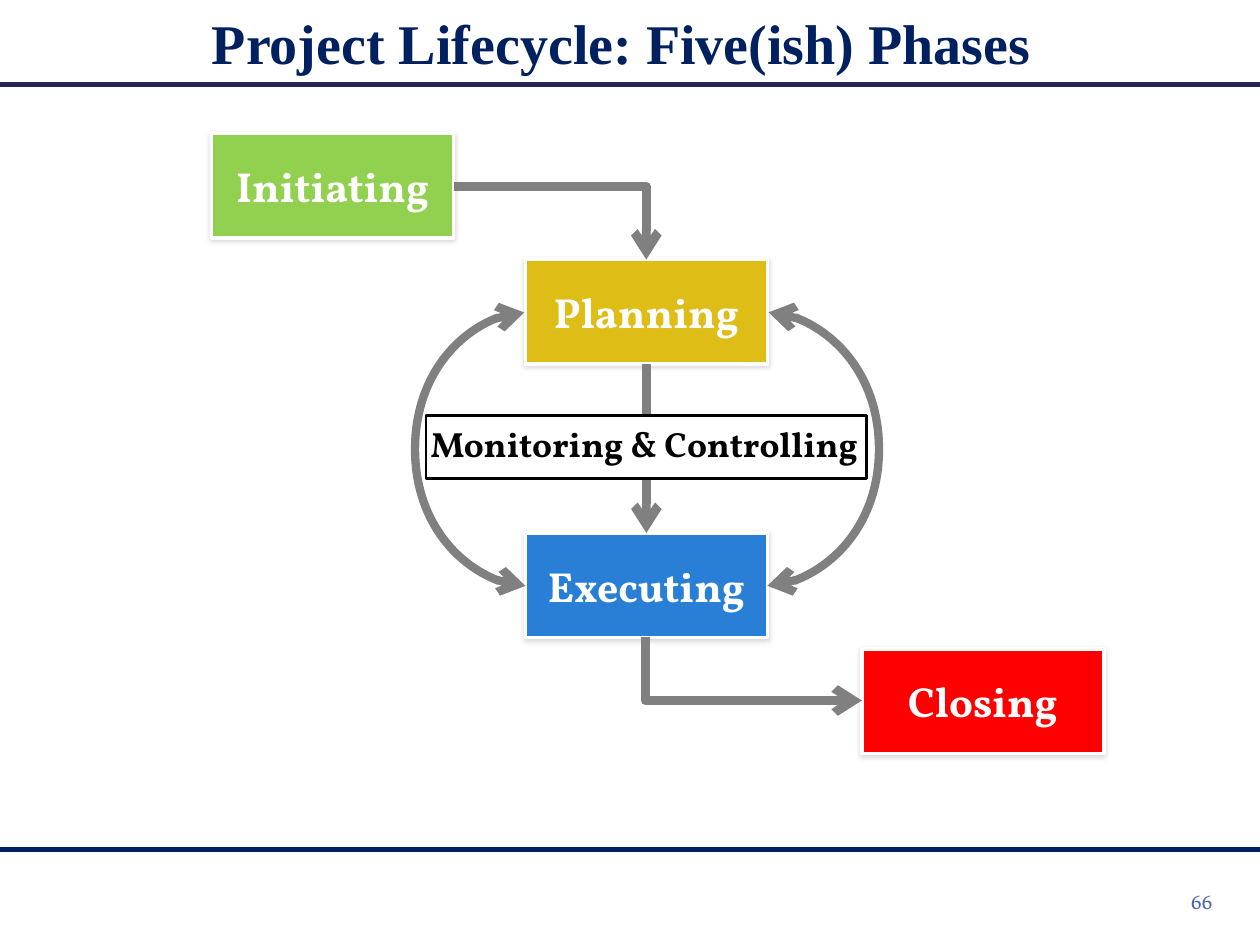
import pptx
import pptx.util
import pptx.dml.color
import pptx.enum.shapes
import pptx.enum.text
import pptx.oxml
import pptx.oxml.ns
import lxml.etree

Inches = pptx.util.Inches
Pt = pptx.util.Pt
RGB = pptx.dml.color.RGBColor.from_string
qn = pptx.oxml.ns.qn
SHAPES = pptx.enum.shapes.MSO_SHAPE
LINKS = pptx.enum.shapes.MSO_CONNECTOR
ALIGN = pptx.enum.text.PP_ALIGN

COLORS = {
    "navy": "002060", "rule": "242852", "arrow": "808080", "white": "FFFFFF",
    "black": "000000", "page": "4A66AC", "green": "92D050", "gold": "DFBD17",
    "blue": "297FD5", "red": "FF0000",
}

prs = pptx.Presentation()
prs.slide_width, prs.slide_height = Inches(10), Inches(7.5)
slide = prs.slides.add_slide(prs.slide_layouts[6])
shapes = slide.shapes


def write(box, text, color, align, font):
    frame = box.text_frame
    frame.word_wrap = True
    frame.vertical_anchor = pptx.enum.text.MSO_ANCHOR.MIDDLE
    paragraph = frame.paragraphs[0]
    paragraph.alignment = align
    run = paragraph.add_run()
    run.text = text
    run.font.color.rgb = RGB(COLORS[color])
    for key, value in font.items():
        setattr(run.font, key, value)
    return paragraph


def connect(kind, start, end, color, width, heads=()):
    link = shapes.add_connector(kind, *[Inches(v) for v in (*start, *end)])
    link.line.color.rgb = RGB(COLORS[color])
    link.line.width = Pt(width)
    for head in heads:
        lxml.etree.SubElement(link.line._get_or_add_ln(), qn("a:" + head), type="arrow")
    lxml.etree.SubElement(link._element.spPr, qn("a:effectLst"))
    return link


for y, color in [(6.74, "navy"), (0.67, "rule")]:
    connect(LINKS.STRAIGHT, (0, y), (10, y), color, 3)

phase_font = {"name": "Vollkorn", "size": Pt(24), "bold": True}
phases = {}
for name, left, top, color in [
    ("Planning", 4.17, 2.06, "gold"),
    ("Executing", 4.17, 4.23, "blue"),
    ("Initiating", 1.68, 1.06, "green"),
    ("Closing", 6.84, 5.15, "red"),
]:
    phase = shapes.add_shape(SHAPES.FLOWCHART_PROCESS, Inches(left), Inches(top), Inches(1.92), Inches(0.83))
    phase.fill.solid()
    phase.fill.fore_color.rgb = RGB(COLORS[color])
    phase.line.color.rgb = RGB(COLORS["white"])
    phase.line.width = Pt(2)
    phase.shadow.inherit = False
    glow = lxml.etree.SubElement(
        phase._element.spPr.find(qn("a:effectLst")), qn("a:outerShdw"),
        blurRad=str(Pt(3)), dist=str(Pt(1)), dir="5400000", rotWithShape="0")
    shade = lxml.etree.SubElement(glow, qn("a:srgbClr"), val=COLORS["black"])
    lxml.etree.SubElement(shade, qn("a:alpha"), val="15000")
    write(phase, name, "white", ALIGN.CENTER, phase_font)
    phases[name] = phase

plan_to_execute = connect(LINKS.STRAIGHT, (5.13, 2.89), (5.13, 4.23), "arrow", 5, ["tailEnd"])
plan_to_execute.begin_connect(phases["Planning"], 2)
plan_to_execute.end_connect(phases["Executing"], 0)

band = shapes.add_shape(SHAPES.RECTANGLE, Inches(3.38), Inches(3.3), Inches(3.5), Inches(0.5))
band.shadow.inherit = False
band.fill.solid()
band.fill.fore_color.rgb = RGB(COLORS["white"])
band.line.color.rgb = RGB(COLORS["black"])
band.line.width = Pt(1.5)

one_way, two_way = ["tailEnd"], ["headEnd", "tailEnd"]
for kind, preset, start, end, width, heads, placing, bulge in [
    (LINKS.ELBOW, "bentConnector2", (3.6, 1.48), (5.13, 2.06), 5, one_way, {}, None),
    (LINKS.ELBOW, "bentConnector2", (5.73, 4.45), (6.23, 6.17), 5, one_way,
     {"rot": "16200000", "flipH": "1"}, None),
    (LINKS.CURVE, "curvedConnector3", (4.16, 2.48), (4.17, 4.65), 4.75, two_way,
     {"rot": "10800000"}, 89),
    (LINKS.CURVE, "curvedConnector3", (6.09, 2.48), (6.1, 4.65), 4.75, two_way,
     {"flipV": "1"}, 90),
]:
    link = connect(kind, start, end, "arrow", width, heads)
    frame = link._element.spPr.find(qn("a:xfrm"))
    for key, value in placing.items():
        frame.set(key, value)
    geometry = link._element.spPr.find(qn("a:prstGeom"))
    geometry.set("prst", preset)
    if bulge:
        lxml.etree.SubElement(geometry.find(qn("a:avLst")), qn("a:gd"),
                              name="adj1", fmla=f"val {bulge * 100000}")

control = shapes.add_shape(SHAPES.FLOWCHART_PROCESS, Inches(3.03), Inches(3.02), Inches(4.17), Inches(1))
control.shadow.inherit = False
control.fill.background()
control.line.fill.background()
write(control, "Monitoring & Controlling", "black", ALIGN.CENTER,
      {"name": "Vollkorn", "size": Pt(20), "bold": True})

title = shapes.add_textbox(Inches(1.44), Inches(0.07), Inches(7.1), Inches(0.59))
heading = write(title, "Project Lifecycle: Five(ish) Phases ", "navy", ALIGN.CENTER,
                {"name": "Times New Roman", "size": Pt(32), "bold": True})
heading.line_spacing = 0.9

page_number = shapes.add_textbox(Inches(7.47), Inches(6.95), Inches(2.25), Inches(0.4))
write(page_number, "66", "page", ALIGN.RIGHT, {"name": "Vollkorn", "size": Pt(12)})

prs.save("out.pptx")
